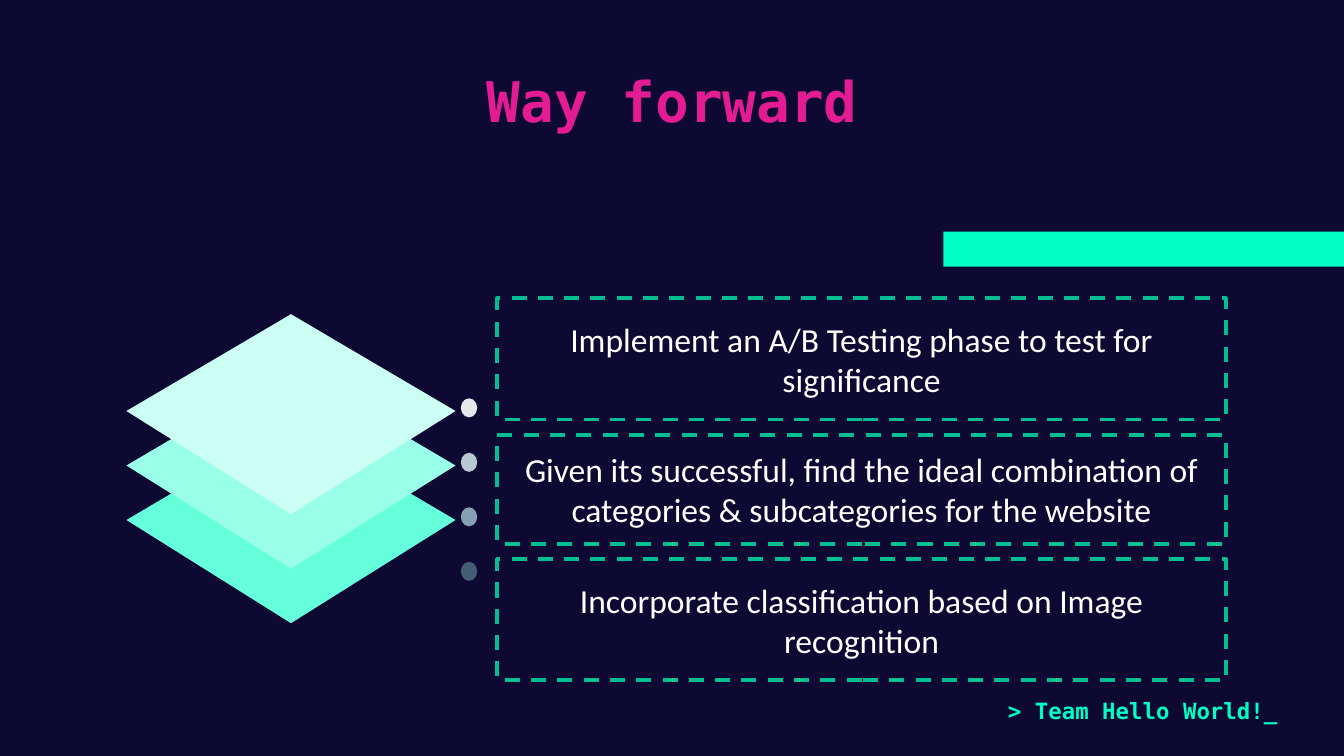
from dataclasses import dataclass

from pptx import Presentation
from pptx.dml.color import RGBColor
from pptx.enum import dml, shapes, text
from pptx.util import Cm, Pt


@dataclass(frozen=True)
class Theme:
    back: str = "0D0932"
    pink: str = "E41C93"
    mint: str = "00FFC5"
    edge: str = "00BD92"
    white: str = "FFFFFF"
    mono: str = "DejaVu Sans Mono"
    sans: str = "Calibri"
    head: int = 30
    body: int = 18
    foot: int = 12


THEME = Theme()

# Top to bottom
LAYERS = ["CCFFF3", "99FFE8", "66FFDC"]
DOTS = ["E3E9ED", "BAC8D3", "869FB2", "435D74"]
STEP = 1.03  # gap between layers and between dots
STEPS = [
    ("Implement an A/B Testing phase to test for significance", 5.64, 2.29),
    ("Given its successful, find the ideal combination of "
     "categories & subcategories for the website", 8.22, 2.06),
    ("Incorporate classification based on Image recognition", 10.57, 2.29),
]


def paint(shape, color):
    shape.shadow.inherit = False
    shape.fill.solid()
    shape.fill.fore_color.rgb = RGBColor.from_string(color)
    shape.line.fill.background()


def write(shape, words, font=THEME.sans, size=THEME.body, color=THEME.white,
          bold=False, align=text.PP_ALIGN.CENTER,
          anchor=text.MSO_ANCHOR.MIDDLE, pads=(0.25, 0.13, 0.25, 0.13)):
    frame = shape.text_frame
    frame.word_wrap = True
    frame.auto_size = text.MSO_AUTO_SIZE.NONE
    frame.vertical_anchor = anchor
    (frame.margin_left, frame.margin_top,
     frame.margin_right, frame.margin_bottom) = map(Cm, pads)
    para = frame.paragraphs[0]
    para.alignment = align
    run = para.add_run()
    run.text = words
    run.font.name = font
    run.font.size = Pt(size)
    run.font.bold = bold
    run.font.color.rgb = RGBColor.from_string(color)


def add_title(slide, words):
    title = slide.shapes.title
    title.left, title.top, title.width, title.height = map(
        Cm, (3.56, 0.97, 18.29, 1.85))
    write(title, words, font=THEME.mono, size=THEME.head, color=THEME.pink,
          bold=True, pads=(0.25,) * 4)


def add_block(slide, kind, left, top, width, height, color):
    shape = slide.shapes.add_shape(
        kind, Cm(left), Cm(top), Cm(width), Cm(height))
    paint(shape, color)
    return shape


def add_layer(slide, top, color):
    left, mid, right = 2.39, 5.5, 8.61
    form = slide.shapes.build_freeform(Cm(mid), Cm(top))
    form.add_line_segments([
        (Cm(left), Cm(top + 1.83)),
        (Cm(mid), Cm(top + 3.78)),
        (Cm(right), Cm(top + 1.83)),
    ], close=True)
    paint(form.convert_to_shape(), color)


def add_step(slide, words, top, height):
    box = add_block(slide, shapes.MSO_SHAPE.RECTANGLE,
                    9.4, top, 13.77, height, THEME.back)
    box.fill.background()
    box.line.color.rgb = RGBColor.from_string(THEME.edge)
    box.line.width = Pt(2)
    box.line.dash_style = dml.MSO_LINE.DASH
    write(box, words)


def add_foot(slide, words):
    box = slide.shapes.add_textbox(Cm(18.8), Cm(13.18), Cm(5.97), Cm(0.66))
    write(box, words, font=THEME.mono, size=THEME.foot, color=THEME.mint,
          bold=True, align=text.PP_ALIGN.LEFT, anchor=text.MSO_ANCHOR.TOP,
          pads=(0.25, 0, 0.25, 0.25))


def main():
    deck = Presentation()
    deck.slide_width, deck.slide_height = Cm(25.4), Cm(14.29)
    slide = deck.slides.add_slide(deck.slide_layouts[5])
    slide.background.fill.solid()
    slide.background.fill.fore_color.rgb = RGBColor.from_string(THEME.back)

    # Heading and accent bar
    add_block(slide, shapes.MSO_SHAPE.RECTANGLE,
              17.83, 4.38, 7.57, 0.66, THEME.mint)
    add_title(slide, "Way forward")

    # Stacked layers, lowest first, and their dots
    for i, color in reversed(list(enumerate(LAYERS))):
        add_layer(slide, 5.94 + i * STEP, color)
    for i, color in enumerate(DOTS):
        add_block(slide, shapes.MSO_SHAPE.OVAL,
                  8.71, 7.53 + i * STEP, 0.31, 0.36, color)

    # Next steps
    for words, top, height in STEPS:
        add_step(slide, words, top, height)

    # Footer
    add_foot(slide, "> Team Hello World!_")
    deck.save("out.pptx")


if __name__ == "__main__":
    main()
